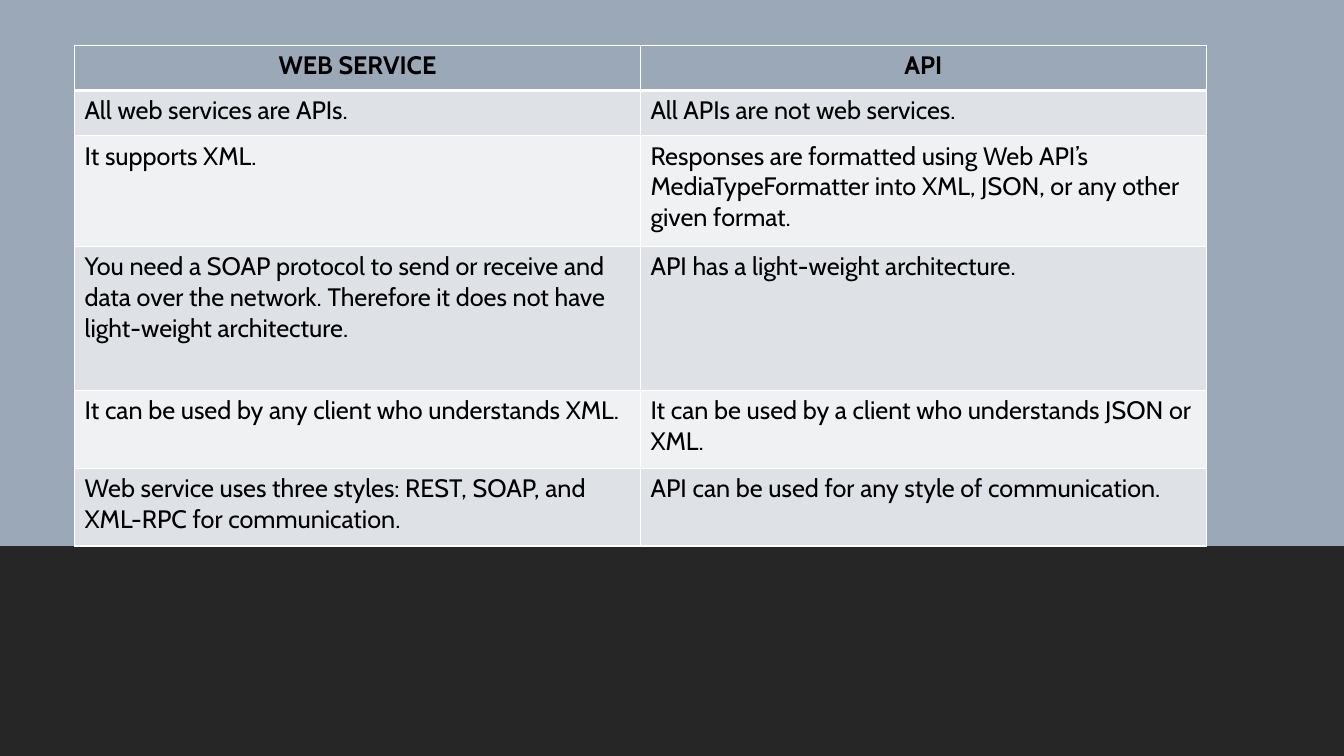
import pptx
import pptx.util
import pptx.dml.color
import pptx.enum.shapes
import pptx.enum.text
from lxml import etree

Cm, Pt = pptx.util.Cm, pptx.util.Pt
Rgb = pptx.dml.color.RGBColor.from_string
Align = pptx.enum.text.PP_ALIGN
NS = "http://schemas.openxmlformats.org/drawingml/2006/main"

COLORS = {
    "blue": "9BA8B7",
    "dark": "262626",
    "mid": "DEE1E6",
    "pale": "EFF1F3",
    "line": "FFFFFF",
    "text": "000000",
}

ROWS = [
    (1.14, "WEB SERVICE", "API"),
    (1.14, "All web services are APIs.", "All APIs are not web services."),
    (2.79, "It supports XML.",
     "Responses are formatted using Web API’s MediaTypeFormatter into XML, "
     "JSON, or any other given format."),
    (3.63, "You need a SOAP protocol to send or receive and data over the network. "
     "Therefore it does not have light-weight architecture.",
     "API has a light-weight architecture."),
    (1.96, "It can be used by any client who understands XML.",
     "It can be used by a client who understands JSON or XML."),
    (1.96, "Web service uses three styles: REST, SOAP, and XML-RPC for communication.",
     "API can be used for any style of communication."),
]


def write(frame, text, size=18, bold=False, align=Align.LEFT, color="text"):
    par = frame.paragraphs[0]
    par.alignment = align
    run = par.add_run()
    run.text = text
    run.font.name = "Cabin"
    run.font.size = Pt(size)
    run.font.bold = bold
    run.font.color.rgb = Rgb(COLORS[color])


def edge(cell, widths):
    """Draw the cell borders, given side letters and widths in points."""
    props = cell._tc.get_or_add_tcPr()
    for side, width in widths.items():
        line = etree.SubElement(props, f"{{{NS}}}ln{side}", w=str(Pt(width)))
        fill = etree.SubElement(line, f"{{{NS}}}solidFill")
        etree.SubElement(fill, f"{{{NS}}}srgbClr", val=COLORS["line"])


deck = pptx.Presentation()
deck.slide_width, deck.slide_height = Cm(33.87), Cm(19.05)
slide = deck.slides.add_slide(deck.slide_layouts[6])

for top, height, color in [(0, 19.05, "blue"), (13.76, 5.29, "dark")]:
    band = slide.shapes.add_shape(
        pptx.enum.shapes.MSO_SHAPE.RECTANGLE, 0, Cm(top), deck.slide_width, Cm(height))
    band.shadow.inherit = False
    band.fill.solid()
    band.fill.fore_color.rgb = Rgb(COLORS[color])
    band.line.fill.background()

total = sum(row[0] for row in ROWS)
table = slide.shapes.add_table(
    len(ROWS), 2, Cm(1.88), Cm(1.14), Cm(28.52), Cm(total)).table

for r, (height, *texts) in enumerate(ROWS):
    table.rows[r].height = Cm(height)
    head = r == 0
    color = "blue" if head else "mid" if r % 2 else "pale"
    for c, text in enumerate(texts):
        cell = table.cell(r, c)
        edge(cell, {"L": 1, "R": 1, "T": 3 if r == 1 else 1, "B": 3 if head else 1})
        cell.fill.solid()
        cell.fill.fore_color.rgb = Rgb(COLORS[color])
        write(cell.text_frame, text, bold=head, align=Align.CENTER if head else Align.LEFT)

deck.save("out.pptx")
